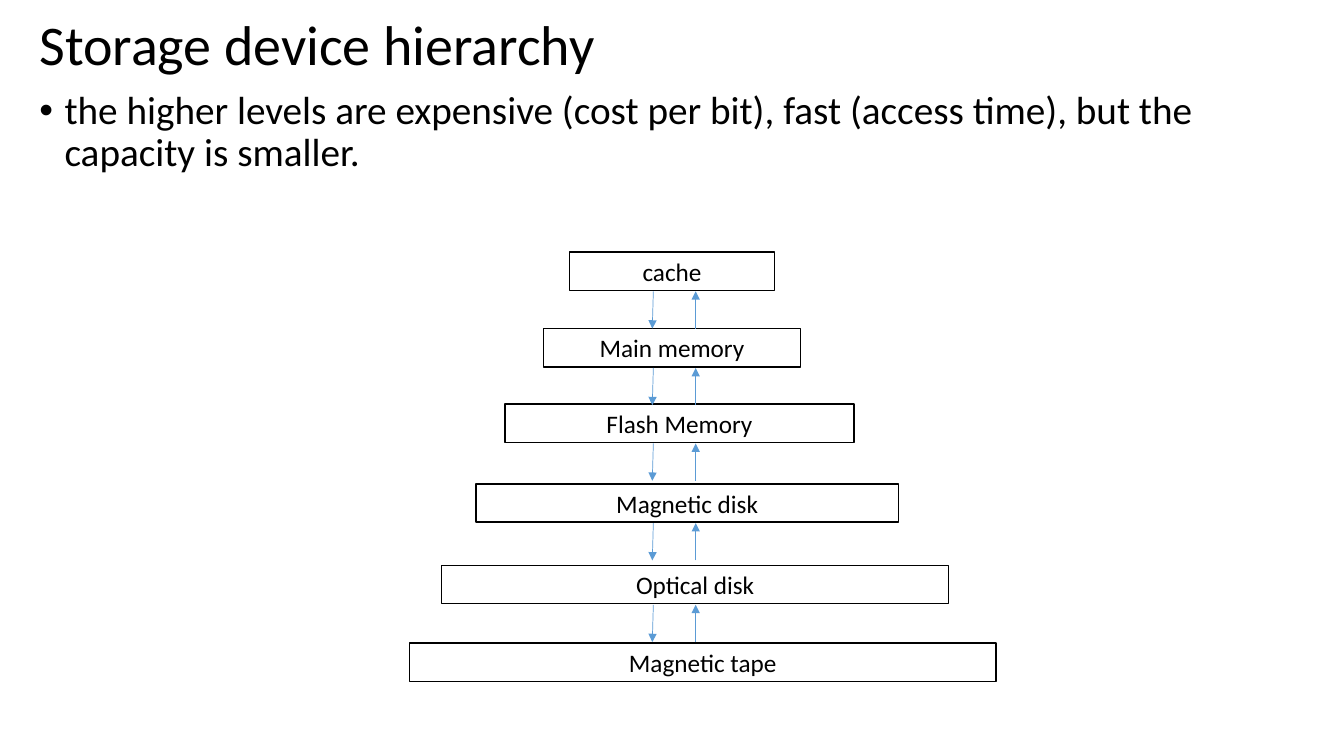
from dataclasses import dataclass

import pptx
import pptx.dml.color
import pptx.enum.shapes
import pptx.enum.text
import pptx.oxml
import pptx.oxml.ns
import pptx.util
from pptx.util import Inches

BLACK = pptx.dml.color.RGBColor(0x00, 0x00, 0x00)
ARROW_BLUE = pptx.dml.color.RGBColor(0x5B, 0x9B, 0xD5)
ALIGN = pptx.enum.text.PP_ALIGN
ANCHOR = pptx.enum.text.MSO_ANCHOR

LEVEL_HEIGHT = 0.38
ARROW_LENGTH = 0.37
ARROW_OFFSET = 0.39  # from the top of a level to the arrows under it
DOWN_X = 6.48
UP_X = 6.9


@dataclass(frozen=True)
class Level:
    name: str
    left: float
    top: float
    width: float


LEVELS = [
    Level("cache", 5.65, 2.5, 2.03),
    Level("Main memory", 5.39, 3.26, 2.55),
    Level("Flash Memory", 5.01, 4.01, 3.46),
    Level("Magnetic disk", 4.72, 4.8, 4.19),
    Level("Optical disk", 4.38, 5.61, 5.03),
    Level("Magnetic tape", 4.06, 6.38, 5.82),
]


def place(shape, left: float, top: float, width: float, height: float) -> None:
    shape.left, shape.top = Inches(left), Inches(top)
    shape.width, shape.height = Inches(width), Inches(height)


def write_text(shape, text: str, *, size: float, align=ALIGN.LEFT,
               anchor=ANCHOR.MIDDLE, line_spacing: float = 1.0,
               bullet: str = "", indent: float = 0) -> None:
    frame = shape.text_frame
    frame.word_wrap = True
    frame.auto_size = pptx.enum.text.MSO_AUTO_SIZE.NONE
    frame.vertical_anchor = anchor
    paragraph = frame.paragraphs[0]
    paragraph.text = text
    paragraph.alignment = align
    paragraph.line_spacing = line_spacing
    paragraph.space_before = pptx.util.Pt(0)
    if bullet:
        properties = paragraph._p.get_or_add_pPr()
        properties.set("marL", str(Inches(indent)))
        properties.set("indent", str(-Inches(indent)))
        namespace = pptx.oxml.ns.nsdecls("a")
        for xml in (f'<a:buFont {namespace} typeface="Arial"/>',
                    f'<a:buChar {namespace} char="{bullet}"/>'):
            properties.append(pptx.oxml.parse_xml(xml))
    font = paragraph.runs[0].font
    font.name = "Calibri"
    font.size = pptx.util.Pt(size)
    font.color.rgb = BLACK


def add_level(slide, level: Level) -> None:
    shape = slide.shapes.add_shape(
        pptx.enum.shapes.MSO_SHAPE.RECTANGLE, Inches(level.left),
        Inches(level.top), Inches(level.width), Inches(LEVEL_HEIGHT))
    shape.shadow.inherit = False
    shape.fill.background()
    shape.line.color.rgb = BLACK
    shape.line.width = pptx.util.Pt(1)
    write_text(shape, level.name, size=18, align=ALIGN.CENTER)


def add_arrow(slide, begin_x: float, begin_y: float,
              end_x: float, end_y: float) -> None:
    connector = slide.shapes.add_connector(
        pptx.enum.shapes.MSO_CONNECTOR.STRAIGHT, Inches(begin_x),
        Inches(begin_y), Inches(end_x), Inches(end_y))
    connector.line.color.rgb = ARROW_BLUE
    connector.line.width = pptx.util.Pt(0.5)
    namespace = pptx.oxml.ns.nsdecls("a")
    connector.line._get_or_add_ln().append(
        pptx.oxml.parse_xml(f'<a:tailEnd {namespace} type="triangle"/>'))
    connector._element.spPr.append(
        pptx.oxml.parse_xml(f"<a:effectLst {namespace}/>"))


def main() -> None:
    presentation = pptx.Presentation()
    presentation.slide_width = Inches(13.33)
    presentation.slide_height = Inches(7.5)
    slide = presentation.slides.add_slide(presentation.slide_layouts[1])

    # Title and statement
    title, body = slide.placeholders
    place(title, 0.29, 0.09, 12.41, 0.75)
    write_text(title, "Storage device hierarchy", size=40, line_spacing=0.9)
    place(body, 0.29, 0.85, 12.53, 6.54)
    write_text(body, "the higher levels are expensive (cost per bit), fast "
               "(access time), but the capacity is smaller.", size=28,
               anchor=ANCHOR.TOP, line_spacing=0.9, bullet="•", indent=0.25)

    # Storage levels
    for level in LEVELS:
        add_level(slide, level)

    # Transfers between neighbouring levels
    for level in LEVELS[:-1]:
        upper_y = level.top + ARROW_OFFSET
        lower_y = upper_y + ARROW_LENGTH
        add_arrow(slide, DOWN_X, upper_y, DOWN_X - 0.01, lower_y)
        add_arrow(slide, UP_X, lower_y, UP_X, upper_y)

    presentation.save("out.pptx")


if __name__ == "__main__":
    main()
